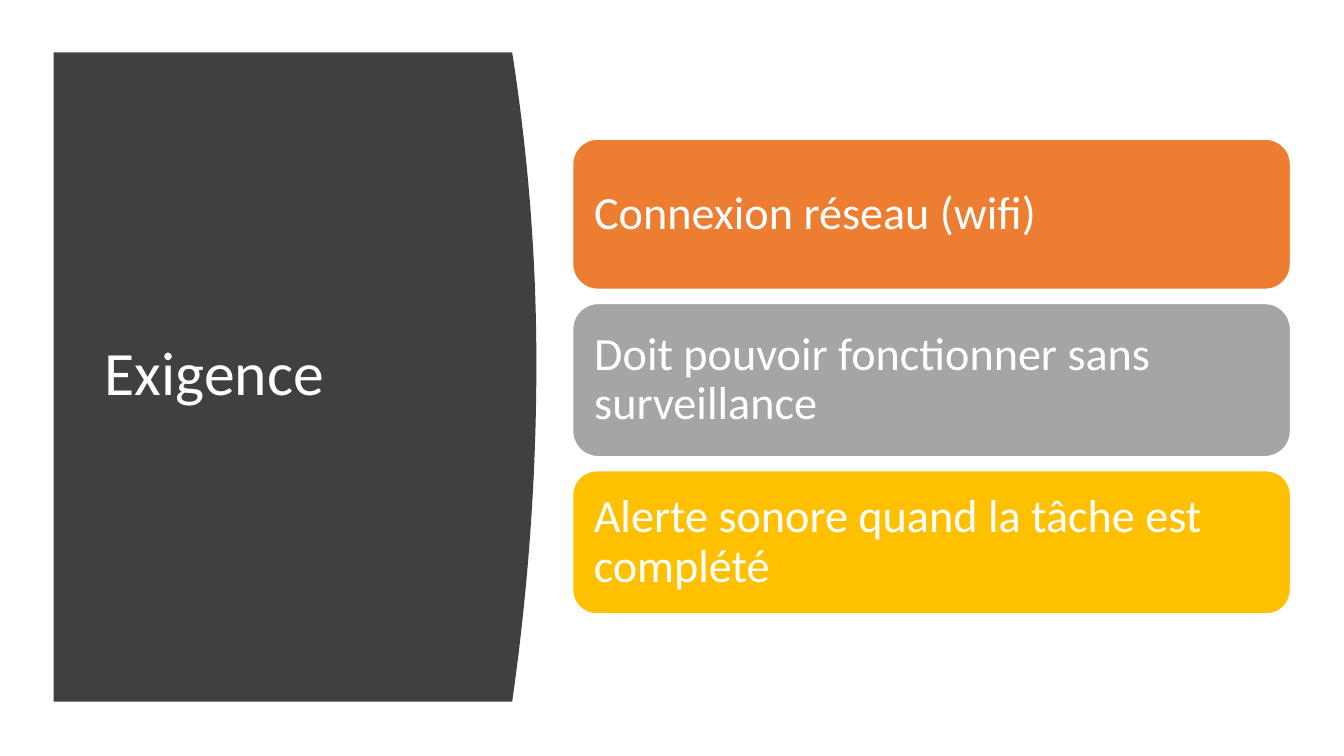
from dataclasses import dataclass

from pptx import Presentation
from pptx.dml.color import RGBColor
from pptx.enum.shapes import MSO_SHAPE
from pptx.enum.text import MSO_ANCHOR, PP_ALIGN
from pptx.shapes.autoshape import Shape
from pptx.slide import Slide
from pptx.util import Emu, Inches, Pt


@dataclass(frozen=True)
class Theme:
    font: str = "Calibri"
    white: str = "FFFFFF"
    dark: str = "404040"
    title: int = 44
    body: int = 33
    line: int = 1


@dataclass(frozen=True)
class Card:
    text: str
    color: str
    height: float


THEME = Theme()
WIDE, HIGH = Inches(13.33), Inches(7.5)

# Lengths are percentages of the slide's width or height
LEFT, EDGE, PEAK = 3.98, 38.11, 39.91
TOP, APEX, BASE = 6.93, 48, 92.8
STEPS = 40
STACK_X, STACK_Y, STACK_W, GAP = 42.61, 18.4, 53.41, 1.87

CARDS = [
    Card("Connexion réseau (wifi)", "ED7D31", 19.87),
    Card("Doit pouvoir fonctionner sans surveillance", "A5A5A5", 20.27),
    Card("Alerte sonore quand la tâche est complété", "FFC000", 18.93),
]


def across(share: float) -> Emu:
    return Emu(round(WIDE * share / 100))


def down(share: float) -> Emu:
    return Emu(round(HIGH * share / 100))


def paint(shape: Shape, color: str) -> None:
    shape.shadow.inherit = False
    shape.fill.solid()
    shape.fill.fore_color.rgb = RGBColor.from_string(color)


def write(shape: Shape, text: str, size: int, inset: float) -> None:
    frame = shape.text_frame
    frame.word_wrap = True
    frame.vertical_anchor = MSO_ANCHOR.MIDDLE
    frame.margin_left = frame.margin_right = Inches(inset)
    para = frame.paragraphs[0]
    para.alignment = PP_ALIGN.LEFT
    para.line_spacing = 0.9
    run = para.add_run()
    run.text = text
    run.font.name = THEME.font
    run.font.size = Pt(size)
    run.font.color.rgb = RGBColor.from_string(THEME.white)


def bulge(y: float) -> float:
    """Right edge of the panel: one half parabola on each side of the apex."""
    reach = APEX - TOP if y < APEX else BASE - APEX
    return PEAK - (PEAK - EDGE) * ((y - APEX) / reach) ** 2


def draw_panel(slide: Slide) -> None:
    rows = [TOP + (BASE - TOP) * i / STEPS for i in range(STEPS + 1)]
    curve = [(across(bulge(y)), down(y)) for y in rows]
    pen = slide.shapes.build_freeform(across(LEFT), down(TOP))
    pen.add_line_segments(curve + [(across(LEFT), down(BASE))], close=True)
    panel = pen.convert_to_shape()
    paint(panel, THEME.dark)
    panel.line.fill.background()


def draw_title(slide: Slide) -> None:
    box = slide.shapes.add_textbox(across(7.05), down(14.8), across(28.06), down(69.87))
    write(box, "Exigence", THEME.title, 0.1)


def draw_card(slide: Slide, card: Card, top: float) -> None:
    shape = slide.shapes.add_shape(
        MSO_SHAPE.ROUNDED_RECTANGLE,
        across(STACK_X), down(top), across(STACK_W), down(card.height),
    )
    paint(shape, card.color)
    shape.line.color.rgb = RGBColor.from_string(THEME.white)
    shape.line.width = Pt(THEME.line)
    write(shape, card.text, THEME.body, 0.14)


def main() -> None:
    deck = Presentation()
    deck.slide_width, deck.slide_height = WIDE, HIGH
    slide = deck.slides.add_slide(deck.slide_layouts[6])

    # Left side: curved panel and title
    draw_panel(slide)
    draw_title(slide)

    # Right side: stacked cards
    top = STACK_Y
    for card in CARDS:
        draw_card(slide, card, top)
        top += card.height + GAP

    deck.save("out.pptx")


if __name__ == "__main__":
    main()
